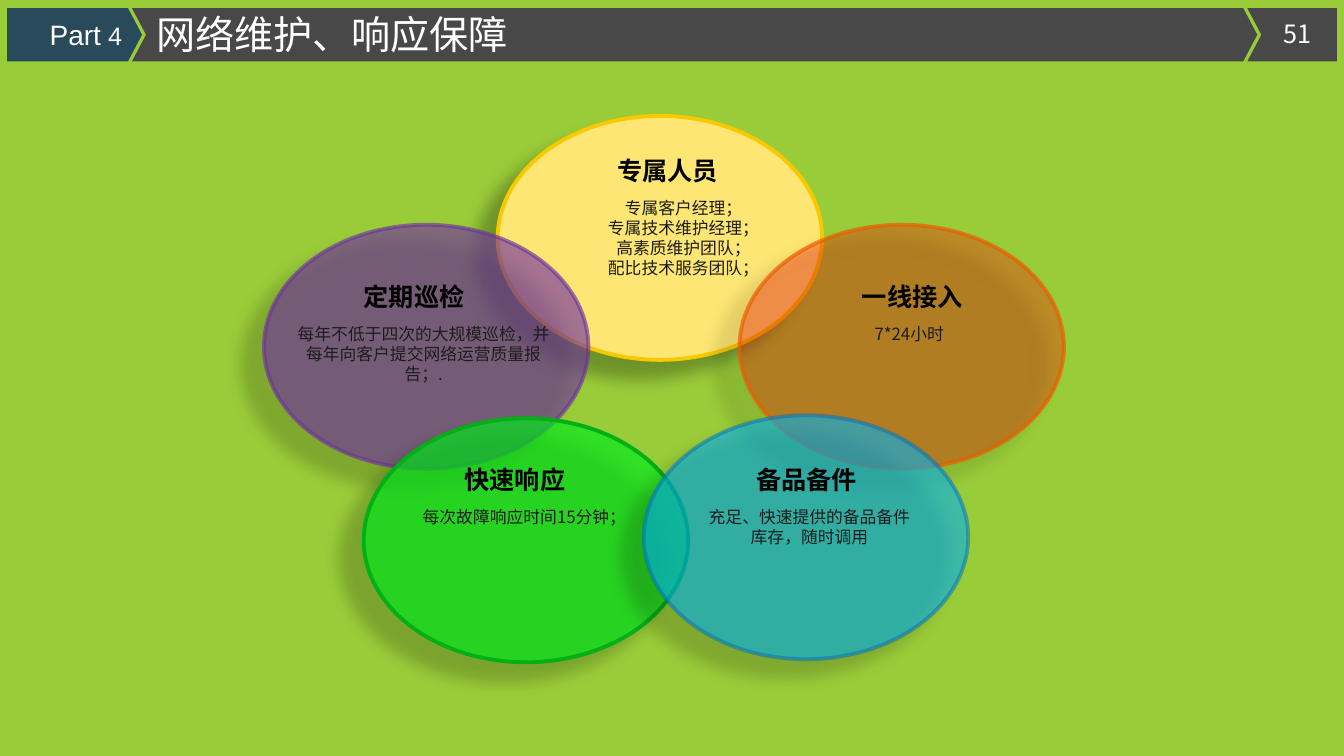
from collections import namedtuple
from lxml.etree import SubElement
from pptx import Presentation
from pptx.dml.color import RGBColor
from pptx.enum.shapes import MSO_SHAPE
from pptx.enum.text import MSO_AUTO_SIZE, PP_ALIGN
from pptx.oxml.ns import qn
from pptx.util import Inches, Pt

# Lengths are counted in grid cells: 133.4 columns by 75 rows.
COLS, ROWS, CELL = 133.4, 75, 0.1

Theme = namedtuple("Theme", "back tag bar white head body black sans cjk "
                            "title label page point note edge")
theme = Theme(back="99CC39", tag="294A5A", bar="484849", white="FFFFFF",
              head="000000", body="1C1C1C", black="000000",
              sans="Arial", cjk="Noto Sans CJK SC",
              title=28, label=20, page=18, point=18, note=12, edge=2.75)

# left, right, notch at left, tip at right, colour
bands = [(0.7, 14.1, False, True, theme.tag),
         (13.1, 124.8, True, True, theme.bar),
         (123.8, 132.7, True, False, theme.bar)]
BAND_TOP, BAND_TALL, TIP = 0.8, 5.3, 1.4

Oval = namedtuple("Oval", "col row fill clear edge thin")
ovals = [Oval(49.4, 11.5, "FDE673", 100, "F9C900", 100),
         Oval(26.2, 22.3, "7030A0", 63, "7030A0", 63),
         Oval(73.4, 22.3, "FF0000", 32, "ED5A00", 67),
         Oval(36.1, 41.5, "00EA1C", 68, "00B015", 100),
         Oval(63.9, 41.2, "00B0F0", 60, "0070C0", 49)]
OVAL_WIDE, OVAL_TALL = 32.2, 24.2

Point = namedtuple("Point", "head row head_span note_span rows notes")
points = [
    Point("专属人员", 14.9, (54.1, 24.3), (56.5, 22.7), 4,
          ["专属客户经理；", "专属技术维护经理；", "高素质维护团队；", "配比技术服务团队；"]),
    Point("定期巡检", 27.4, (31.6, 19), (27.8, 28.5), 3,
          ["每年不低于四次的大规模巡检，并每年向客户提交网络运营质量报告；."]),
    Point("一线接入", 27.4, (77.8, 25.5), (76, 28.5), 1, ["7*24小时"]),
    Point("快速响应", 45.6, (41.7, 18.8), (40.7, 22.7), 1,
          ["每次故障响应时间15分钟；"]),
    Point("备品备件", 45.6, (71.7, 16.7), (69, 22.7), 2,
          ["充足、快速提供的备品备件库存，随时调用"])]
HEAD_TALL, NOTE_DROP, NOTE_ROW, NOTE_PAD = 4, 4.2, 2.03, 1


def cells(*counts):
    return [Inches(count * CELL) for count in counts]


def rgb(code):
    return RGBColor.from_string(code)


def fade(paint, share):
    """Make the colour inside an XML paint element partly transparent."""
    if share < 100:
        tone = next(paint.iter(qn("a:srgbClr")))
        SubElement(tone, qn("a:alpha"), val=str(share * 1000))


def add_band(slide, left, right, notch, tip, tint):
    low, mid = BAND_TOP + BAND_TALL, BAND_TOP + BAND_TALL / 2
    dots = [(right - TIP, BAND_TOP), (right, mid), (right - TIP, low)] if tip \
        else [(right, BAND_TOP), (right, low)]
    dots.append((left, low))
    if notch:
        dots.append((left + TIP, mid))
    pen = slide.shapes.build_freeform(*cells(left, BAND_TOP), scale=1.0)
    pen.add_line_segments([cells(*dot) for dot in dots], close=True)
    band = pen.convert_to_shape()
    band.shadow.inherit = False
    band.fill.solid()
    band.fill.fore_color.rgb = rgb(tint)
    band.line.fill.background()


def add_oval(slide, oval):
    shape = slide.shapes.add_shape(
        MSO_SHAPE.OVAL, *cells(oval.col, oval.row, OVAL_WIDE, OVAL_TALL))
    shape.fill.solid()
    shape.fill.fore_color.rgb = rgb(oval.fill)
    shape.line.color.rgb = rgb(oval.edge)
    shape.line.width = Pt(theme.edge)
    shape.shadow.inherit = False
    props = shape.element.spPr
    fade(props.find(qn("a:solidFill")), oval.clear)
    fade(props.find(qn("a:ln")), oval.thin)
    shade = SubElement(props.find(qn("a:effectLst")), qn("a:outerShdw"),
                       blurRad=str(Pt(11.8)), dist=str(Pt(19.7)),
                       dir=str(141 * 60000), algn="ctr", rotWithShape="0")
    tone = SubElement(shade, qn("a:srgbClr"), val=theme.black)
    SubElement(tone, qn("a:alpha"), val="28000")


def add_text(slide, box, lines, tint, align=PP_ALIGN.CENTER,
             face=theme.cjk, bold=False, wrap=True):
    """Write lines, each a list of (text, size) runs, in a box of grid cells."""
    shape = slide.shapes.add_textbox(*cells(*box))
    frame = shape.text_frame
    frame.word_wrap = wrap
    frame.auto_size = MSO_AUTO_SIZE.SHAPE_TO_FIT_TEXT
    for order, line in enumerate(lines):
        para = frame.add_paragraph() if order else frame.paragraphs[0]
        para.alignment = align
        for text, size in line:
            run = para.add_run()
            run.text = text
            run.font.size = Pt(size)
            run.font.bold = bold
            run.font.color.rgb = rgb(tint)
            run.font.name = face
    for props in shape.element.iter(qn("a:rPr")):
        SubElement(props, qn("a:ea"), typeface=face)


def add_point(slide, point):
    left, wide = point.head_span
    add_text(slide, (left, point.row, wide, HEAD_TALL),
             [[(point.head, theme.point)]], theme.head, bold=True)
    left, wide = point.note_span
    tall = NOTE_PAD + NOTE_ROW * point.rows
    add_text(slide, (left, point.row + NOTE_DROP, wide, tall),
             [[(note, theme.note)] for note in point.notes], theme.body)


def main():
    deck = Presentation()
    deck.slide_width, deck.slide_height = cells(COLS, ROWS)
    slide = deck.slides.add_slide(deck.slide_layouts[6])
    slide.background.fill.solid()
    slide.background.fill.fore_color.rgb = rgb(theme.back)

    for band in bands:
        add_band(slide, *band)
    add_text(slide, (126.1, 1.3, 5.4, 4), [[("51", theme.page)]],
             theme.white, wrap=False)
    add_text(slide, (14.5, 0.5, 73.5, 5.7),
             [[("网络维护、响应保障", theme.title)]], theme.white, PP_ALIGN.LEFT)
    add_text(slide, (1.5, 1.2, 11.6, 4.4),
             [[("Part", theme.label), (" 4", theme.page)]],
             theme.white, PP_ALIGN.RIGHT, theme.sans)

    for oval in ovals:
        add_oval(slide, oval)
    for point in points:
        add_point(slide, point)
    deck.save("out.pptx")


if __name__ == "__main__":
    main()
